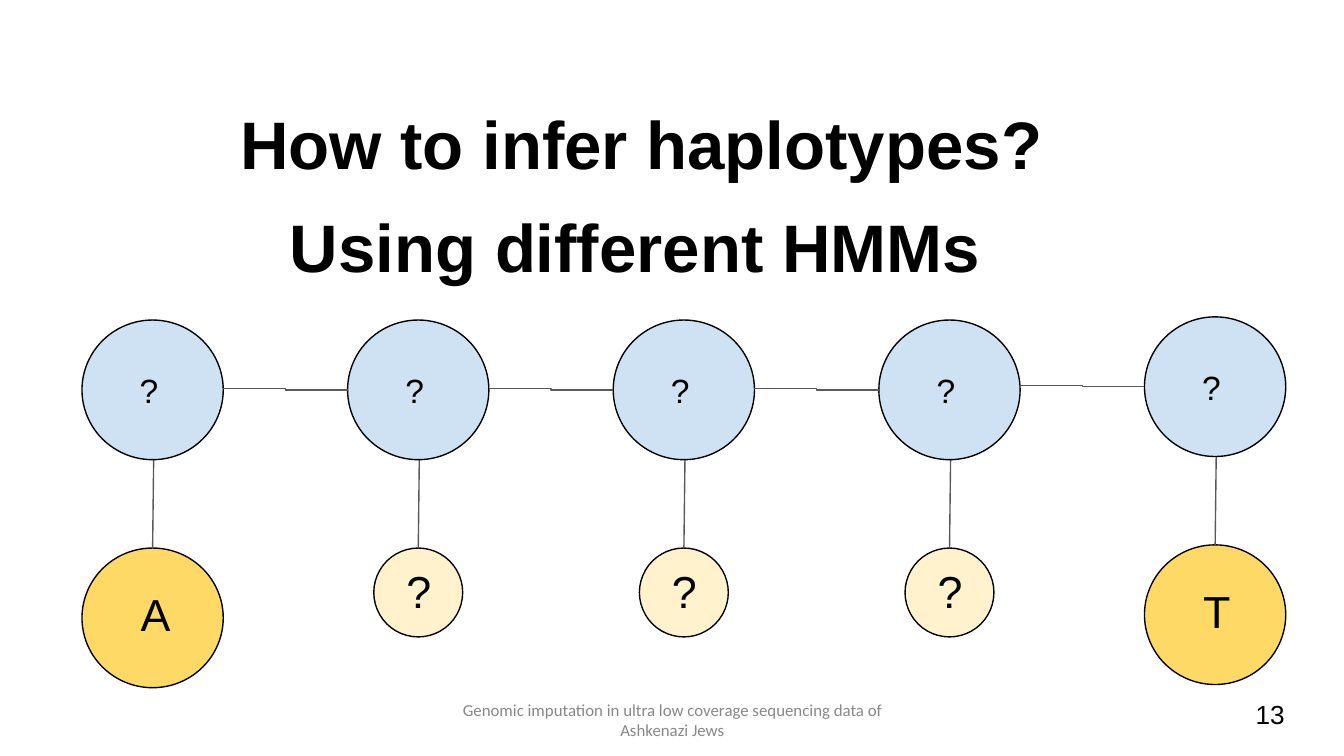
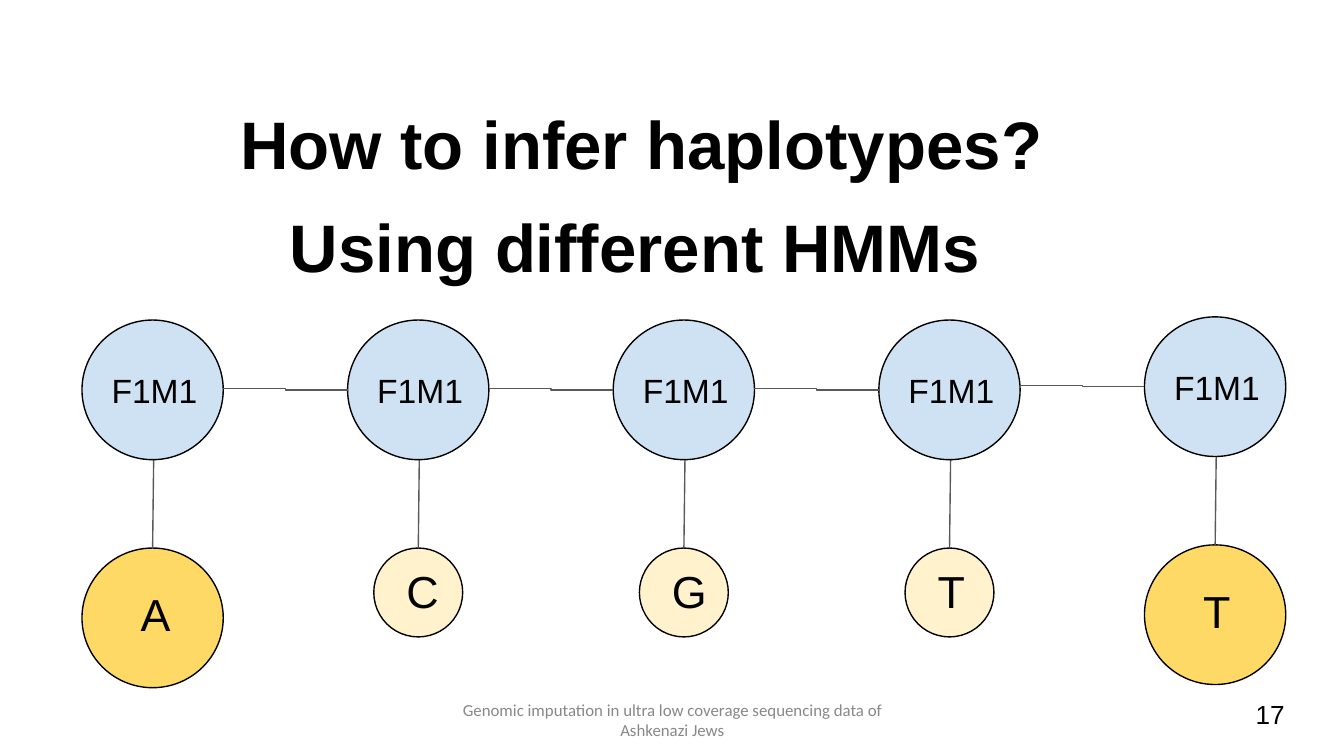
from lxml.etree import SubElement
from pptx import Presentation
from pptx.dml.color import RGBColor
from pptx.enum.shapes import MSO_CONNECTOR as Link, MSO_SHAPE as Shape
from pptx.enum.text import MSO_ANCHOR as Anchor, PP_ALIGN as Align
from pptx.oxml.ns import qn
from pptx.util import Cm, Pt

TITLES = [
    ("How to infer haplotypes?", (4.29, 1.68, 15.82, 2.64)),
    ("Using different HMMs", (5.23, 3.63, 13.97, 2.34)),
]
FOOTER = "Genomic imputation in ultra low coverage sequencing data of Ashkenazi Jews"
SLIDES = [
    {"number": "13", "state": "?", "indent": 0.53, "bases": "A???T"},
    {"number": "17", "state": "F1M1", "indent": 0, "bases": "ACGTT"},
]

COLORS = {
    "ink": "000000",
    "footer": "888888",
    "link": "595959",
    "state": "CFE2F3",
    "known": "FFD966",
    "hidden": "FFF2CC",
}
STYLES = {
    "title": {"name": "Arial", "size": Pt(36), "bold": True},
    "state": {"name": "Arial", "size": Pt(18)},
    "base": {"name": "Arial", "size": Pt(24)},
    "footer": {"name": "Calibri", "size": Pt(9)},
    "number": {"name": "Arial", "size": Pt(14)},
}

FIRST_LEFT, PITCH = 1.55, 5.02
STATE_TOP, BASE_TOP, LAST_RAISE = 6.05, 10.36, 0.06
WIDTH, HEIGHT, SMALL = 2.67, 2.64, 1.68
LABEL_HEIGHT = 1.47


def color(name):
    return RGBColor.from_string(COLORS[name])


def add_text(page, text, place, style, ink="ink", inset=(0.25, 0.25),
             indent=0, anchor=Anchor.TOP, align=Align.LEFT):
    box = page.shapes.add_textbox(*map(Cm, place))
    across, down = map(Cm, inset)
    frame_format = {
        "word_wrap": True,
        "vertical_anchor": anchor,
        "margin_left": across + Cm(indent),
        "margin_right": across,
        "margin_top": down,
        "margin_bottom": down,
    }
    for key, value in frame_format.items():
        setattr(box.text_frame, key, value)
    para = box.text_frame.paragraphs[0]
    para.alignment = align
    span = para.add_run()
    span.text = text
    for key, value in STYLES[style].items():
        setattr(span.font, key, value)
    span.font.color.rgb = color(ink)


def add_circle(page, place, fill):
    circle = page.shapes.add_shape(Shape.OVAL, *map(Cm, place))
    circle.shadow.inherit = False
    circle.fill.solid()
    circle.fill.fore_color.rgb = color(fill)
    circle.line.color.rgb = color("ink")
    circle.line.width = Pt(0.75)


def add_link(page, kind, ends):
    link = page.shapes.add_connector(kind, *map(Cm, ends))
    link.line.color.rgb = color("link")
    link.line.width = Pt(0.75)
    SubElement(link._element.spPr, qn("a:effectLst"))


def add_column(page, index, base, content):
    last = len(content["bases"]) - 1
    known = index in (0, last)
    left = FIRST_LEFT + index * PITCH
    rise = LAST_RAISE if index == last else 0
    top, base_top = STATE_TOP - rise, BASE_TOP - rise

    if known:
        add_circle(page, (left, base_top, WIDTH, HEIGHT), "known")
    else:
        offset = (WIDTH - SMALL) / 2
        add_circle(page, (left + offset, base_top, SMALL, SMALL), "hidden")
    middle = left + WIDTH / 2
    add_link(page, Link.STRAIGHT, (middle + 0.02, top + HEIGHT, middle, base_top))
    add_circle(page, (left, top, WIDTH, HEIGHT), "state")
    if index:
        start = left - PITCH + WIDTH
        level = top + HEIGHT / 2
        add_link(page, Link.ELBOW, (start, level - 0.02, left, level))
    add_text(page, content["state"], (left + 0.31, top + 0.69, 2.16, LABEL_HEIGHT),
             "state", indent=content["indent"])
    drop = 0.48 if known else 0.05
    add_text(page, base, (left + 0.86, base_top + drop, SMALL, LABEL_HEIGHT), "base")


def add_page(deck, content):
    page = deck.slides.add_slide(deck.slide_layouts[6])
    small_print = {"inset": (0.18, 0.1), "anchor": Anchor.MIDDLE}
    add_text(page, FOOTER, (8.41, 13.23, 8.59, 0.76), "footer", "footer",
             align=Align.CENTER, **small_print)
    add_text(page, content["number"], (23.55, 12.95, 1.52, 1.09), "number",
             **small_print)
    for title, place in TITLES:
        add_text(page, title, place, "title")
    for index, base in enumerate(content["bases"]):
        add_column(page, index, base, content)


def main():
    deck = Presentation()
    deck.slide_width, deck.slide_height = Cm(25.4), Cm(14.29)
    for content in SLIDES:
        add_page(deck, content)
    deck.save("out.pptx")


if __name__ == "__main__":
    main()
